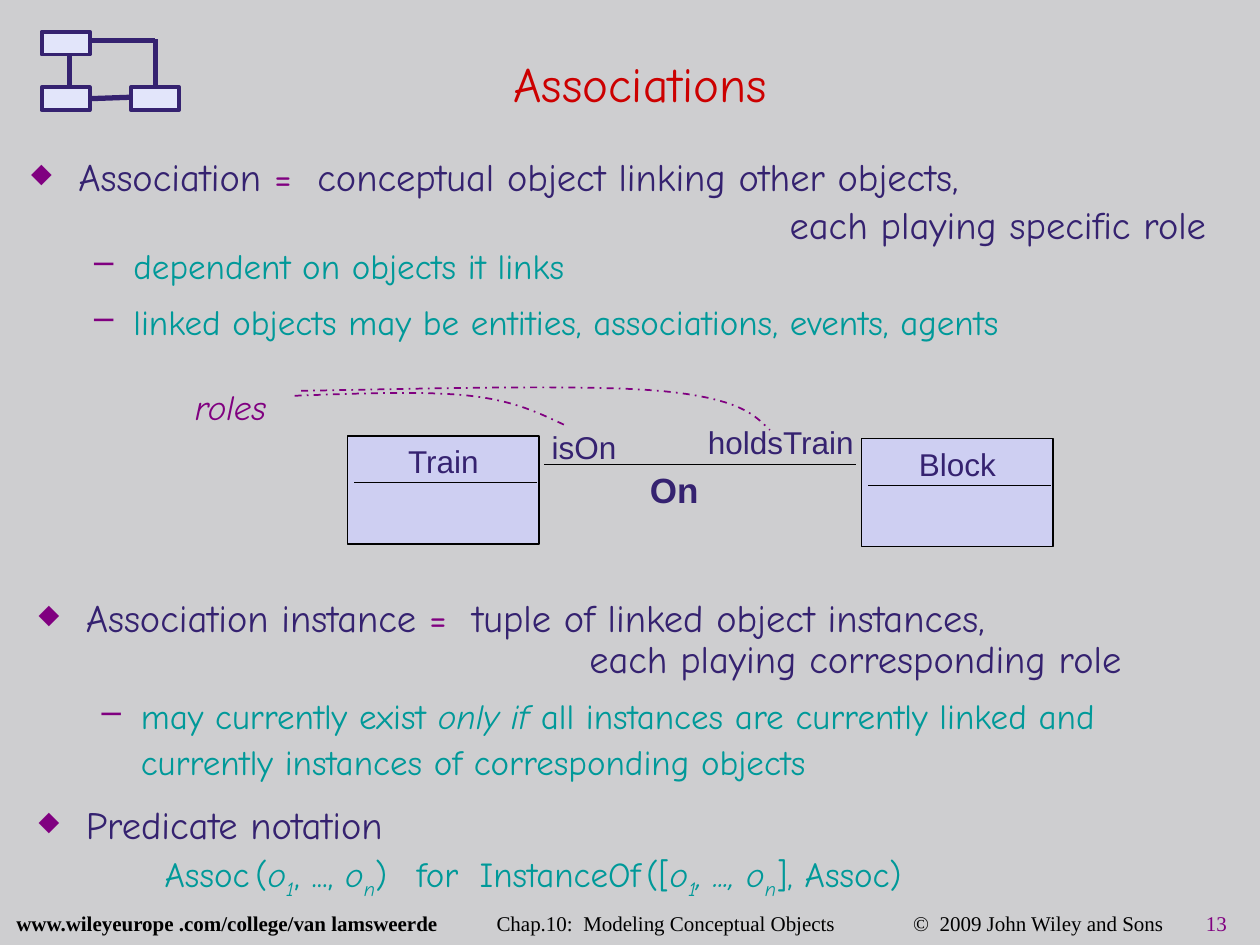
from lxml import etree
from pptx import Presentation
from pptx.dml.color import RGBColor
from pptx.enum.dml import MSO_LINE
from pptx.enum.shapes import MSO_CONNECTOR, MSO_SHAPE
from pptx.enum.text import MSO_ANCHOR, PP_ALIGN
from pptx.oxml.ns import qn
from pptx.util import Cm, Pt

STRAIGHT = MSO_CONNECTOR.STRAIGHT
RECTANGLE = MSO_SHAPE.RECTANGLE
DASH_DOT = MSO_LINE.DASH_DOT
TOP, MIDDLE = MSO_ANCHOR.TOP, MSO_ANCHOR.MIDDLE
CENTER, LEFT = PP_ALIGN.CENTER, PP_ALIGN.LEFT

INDIGO, TEAL, PURPLE = "352270", "009999", "800080"
RED, BLACK, GREY = "CC0000", "000000", "CECED0"
LILAC, PALE = "CECFF2", "E2E5FA"
HAND, SANS, SERIF = "Comic Neue", "Arial", "Times New Roman"


def rgb(color):
    return RGBColor.from_string(color)


def add_runs(paragraph, runs, font):
    """Each run is (text, size, colour, style); style letters: b bold, i italic, s subscript."""
    for text, size, color, style in runs:
        run = paragraph.add_run()
        run.text = text
        run.font.name = font
        run.font.size = Pt(size)
        run.font.color.rgb = rgb(color)
        run.font.bold = "b" in style
        run.font.italic = "i" in style
        if "s" in style:
            run.font._element.set("baseline", "-25000")


def add_text(slide, box, anchor=TOP):
    frame = slide.shapes.add_textbox(*map(Cm, box)).text_frame
    frame.word_wrap = True
    frame.vertical_anchor = anchor
    return frame


def add_label(slide, box, text, size, color, font, style="", align=LEFT, anchor=TOP):
    paragraph = add_text(slide, box, anchor).paragraphs[0]
    paragraph.alignment = align
    add_runs(paragraph, [(text, size, color, style)], font)


def add_line(slide, start, end, color, width):
    line = slide.shapes.add_connector(STRAIGHT, *map(Cm, start + end))
    line.line.color.rgb = rgb(color)
    line.line.width = Pt(width)
    etree.SubElement(line._element.spPr, qn("a:effectLst"))


def add_box(slide, box, fill, color, width):
    shape = slide.shapes.add_shape(RECTANGLE, *map(Cm, box))
    shape.shadow.inherit = False
    shape.fill.solid()
    shape.fill.fore_color.rgb = rgb(fill)
    shape.line.color.rgb = rgb(color)
    shape.line.width = Pt(width)
    return shape


def set_indent(paragraph, margin, first):
    properties = paragraph._p.get_or_add_pPr()
    properties.set("marL", str(Cm(margin)))
    properties.set("indent", str(Cm(first)))
    return properties


def set_bullet(paragraph, char, percent):
    properties = paragraph._p.get_or_add_pPr()
    bullet_color = etree.SubElement(properties, qn("a:buClr"))
    etree.SubElement(bullet_color, qn("a:srgbClr"), val=PURPLE)
    etree.SubElement(properties, qn("a:buSzPct"), val=str(percent * 1000))
    etree.SubElement(properties, qn("a:buChar"), char=char)


def set_tabs(paragraph, stops):
    tabs = etree.SubElement(paragraph._p.get_or_add_pPr(), qn("a:tabLst"))
    for stop in stops:
        etree.SubElement(tabs, qn("a:tab"), pos=str(Cm(stop)), algn="l")


def add_outline(slide, box, items):
    """Each item is (kind, margin, line spacing, space before, runs)."""
    frame = add_text(slide, box, MIDDLE)
    for index, (kind, margin, spacing, before, runs) in enumerate(items):
        paragraph = frame.add_paragraph() if index else frame.paragraphs[0]
        paragraph.line_spacing = spacing
        if index:
            paragraph.space_before = Pt(before)
        if kind == "point":
            set_indent(paragraph, 0.95, -0.95)
            set_bullet(paragraph, "◆", 70)
        elif kind == "detail":
            paragraph.level = 1
            set_indent(paragraph, 2.06, -0.79)
            set_bullet(paragraph, "–", 100)
        elif kind == "formula":
            set_indent(paragraph, 0, margin)
            set_tabs(paragraph, [7.75, 9.3])
        else:
            set_indent(paragraph, margin, 0)
        add_runs(paragraph, runs, HAND)


def definition(term, meaning):
    return [(term + " ", 22, INDIGO, ""), ("=", 22, PURPLE, ""),
            ("  " + meaning, 22, INDIGO, "")]


def tuple_runs(separator_style):
    return [("o", 20, TEAL, "i"), ("1", 20, TEAL, "is"),
            (", ..., ", 20, TEAL, separator_style),
            ("o", 20, TEAL, "i"), ("n", 20, TEAL, "is")]


def add_emblem(slide, left, top):
    for x, y in [(0, 0), (1.8, 1.12), (0, 1.12)]:
        add_box(slide, (left + x, top + y, 0.97, 0.46), PALE, INDIGO, 2.25)
    for x1, y1, x2, y2 in [(0.94, 1.35, 1.8, 1.32), (2.29, 1.09, 2.29, 0.15),
                           (0.99, 0.18, 2.29, 0.18), (0.56, 1.14, 0.56, 0.43)]:
        add_line(slide, (left + x1, top + y1), (left + x2, top + y2), INDIGO, 3)


def add_entity(slide, left, top, name):
    entity = add_box(slide, (left, top, 3.86, 2.18), LILAC, BLACK, 0.75)
    entity.text_frame.vertical_anchor = TOP
    paragraph = entity.text_frame.paragraphs[0]
    paragraph.alignment = CENTER
    add_runs(paragraph, [(name, 18, INDIGO, "")], SANS)
    add_line(slide, (left + 0.13, top + 0.94), (left + 3.81, top + 0.94), BLACK, 0.75)


def bezier(p0, p1, p2, p3, steps=16):
    """Points along a cubic curve, without its start."""
    for step in range(1, steps + 1):
        t = step / steps
        u = 1 - t
        yield tuple(u**3 * a + 3 * u * u * t * b + 3 * u * t * t * c + t**3 * d
                    for a, b, c, d in zip(p0, p1, p2, p3))


def add_role_curve(slide, left, top, knots):
    points = [(Cm(left + x), Cm(top + y)) for x, y in knots]
    builder = slide.shapes.build_freeform(*points[0])
    for start in range(0, len(points) - 1, 3):
        builder.add_line_segments(
            [(round(x), round(y)) for x, y in bezier(*points[start:start + 4])], close=False)
    curve = builder.convert_to_shape()
    curve.shadow.inherit = False
    curve.fill.background()
    curve.line.color.rgb = rgb(PURPLE)
    curve.line.width = Pt(1)
    curve.line.dash_style = DASH_DOT


def add_association_diagram(slide, left, top):
    add_line(slide, (left + 7.29, top + 1.72), (left + 13.57, top + 1.72), BLACK, 0.75)
    add_entity(slide, left + 3.33, top + 1.14, "Train")
    add_entity(slide, left + 13.69, top + 1.19, "Block")
    for x, y, width, text, size, color, font, style in [
            (9.17, 1.67, 1.75, "On", 20, INDIGO, SANS, "b"),
            (7.19, 0.86, 1.98, "isOn", 18, INDIGO, SANS, ""),
            (10.34, 0.76, 3.68, "holdsTrain", 18, INDIGO, SANS, ""),
            (0, 0, 2.49, "roles", 20, PURPLE, HAND, "i")]:
        add_label(slide, (left + x, top + y, width, 1.15), text, size, color, font, style)
    add_role_curve(slide, left, top, [(2.26, 0.33), (3.56, 0.28), (4.88, 0.23), (5.79, 0.33),
                                      (6.71, 0.43), (7.21, 0.69), (7.75, 0.94)])
    add_role_curve(slide, left, top, [(2.39, 0.23), (5.21, 0.18), (8.05, 0.1), (9.63, 0.23),
                                      (11.2, 0.38), (11.51, 0.69), (11.84, 1.02)])


def add_footer(slide, box):
    paragraph = add_text(slide, box).paragraphs[0]
    paragraph.line_spacing = 0.7
    set_tabs(paragraph, [9.68, 18.08, 23.98])
    add_runs(paragraph, [
        ("www.wileyeurope .com/college/van lamsweerde", 12, BLACK, "b"),
        ("\tChap.10:  Modeling Conceptual Objects\t©  2009 John Wiley and Sons\t", 12, BLACK, ""),
        ("13", 12, PURPLE, "")], SERIF)


def main():
    deck = Presentation()
    deck.slide_width, deck.slide_height = Cm(25.4), Cm(19.05)
    slide = deck.slides.add_slide(deck.slide_layouts[6])
    slide.background.fill.solid()
    slide.background.fill.fore_color.rgb = rgb(GREY)

    add_footer(slide, (0.08, 18.36, 25.32, 0.61))
    add_label(slide, (0.89, 0.61, 24.03, 2.11), "Associations", 28, RED, HAND,
              align=CENTER, anchor=MIDDLE)
    add_outline(slide, (0.38, 2.69, 24.31, 4.52), [
        ("point", 0, 1.1, 0,
         definition("Association", "conceptual object linking other objects,")),
        ("continued", 15.29, 0.9, 4, [("each playing specific role", 22, INDIGO, "")]),
        ("detail", 0, 0.8, 2.4, [("dependent on objects it links", 20, TEAL, "")]),
        ("detail", 0, 1.1, 6,
         [("linked objects may be entities, associations, events, agents", 20, TEAL, "")])])
    add_association_diagram(slide, 3.68, 7.65)
    add_outline(slide, (0.53, 11.81, 22.94, 5.94), [
        ("point", 0, 1.5, 0,
         definition("Association instance", "tuple of linked object instances,")),
        ("continued", 11.1, 0.6, 6.6, [("each playing corresponding role", 22, INDIGO, "")]),
        ("detail", 0, 1.1, 6, [
            ("may currently exist ", 20, TEAL, ""), ("only if", 20, TEAL, "i"),
            (" all instances are currently linked and currently instances of "
             "corresponding objects", 20, TEAL, "")]),
        ("point", 0, 1.0, 10.5, [("Predicate notation", 22, INDIGO, "")]),
        ("formula", 2.54, 0.8, 6, [
            ("Assoc", 20, TEAL, ""), (" ", 10, TEAL, ""), ("(", 20, TEAL, ""),
            *tuple_runs(""), (")\tfor\tInstanceOf", 20, TEAL, ""), (" ", 10, TEAL, ""),
            ("([", 20, TEAL, ""), *tuple_runs("i"), ("], Assoc)", 20, TEAL, "")])])
    add_emblem(slide, 0.84, 0.64)
    deck.save("out.pptx")


if __name__ == "__main__":
    main()
